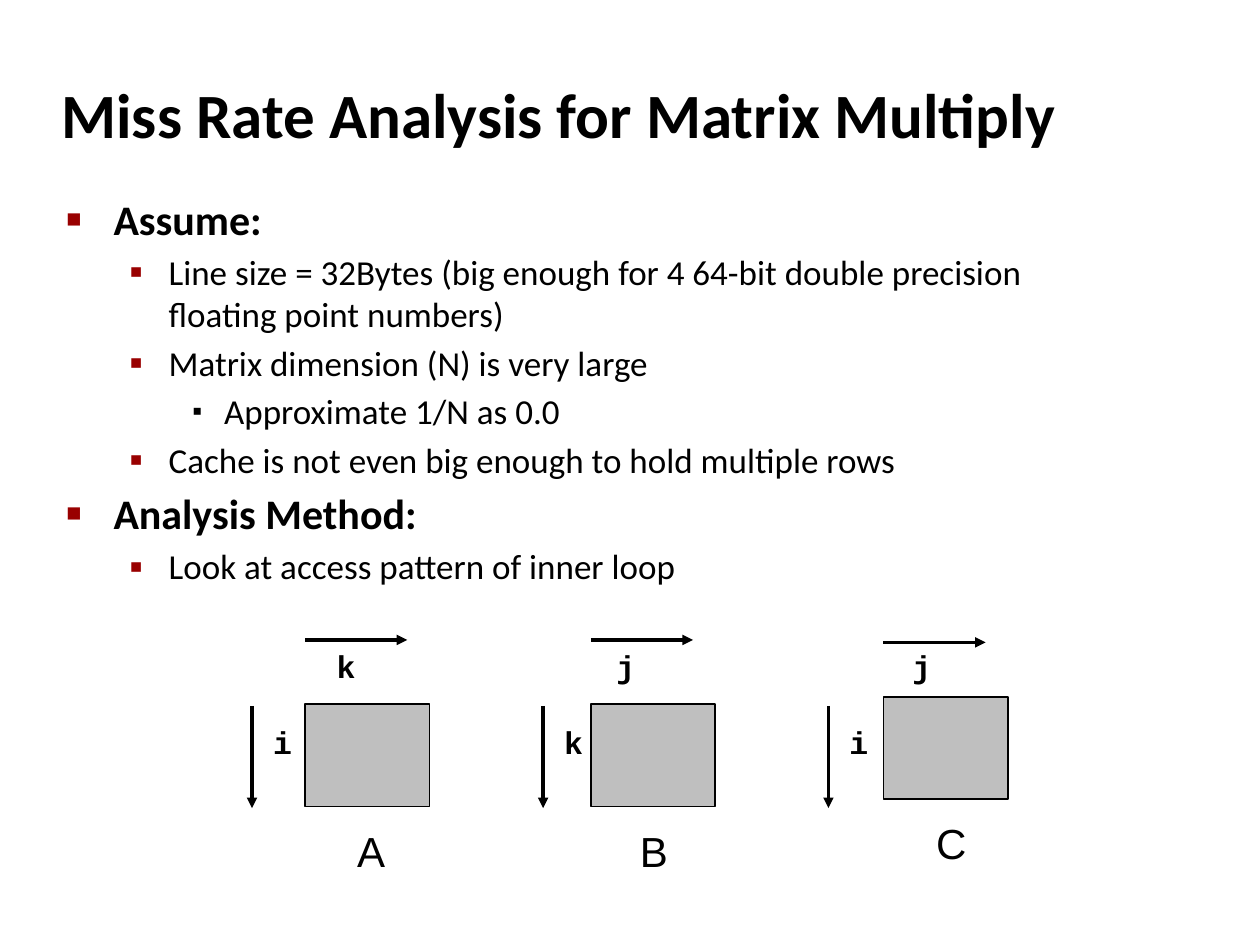
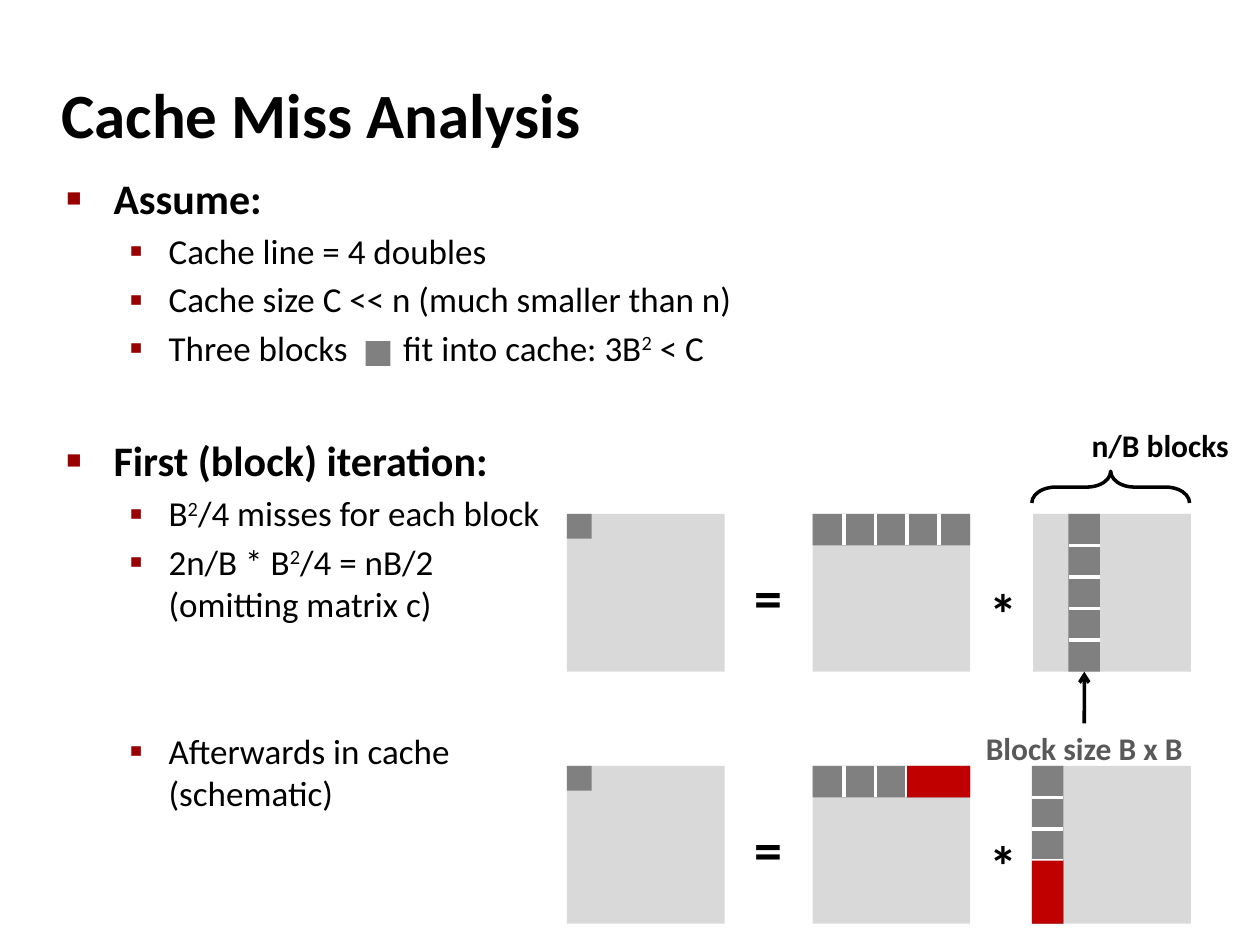
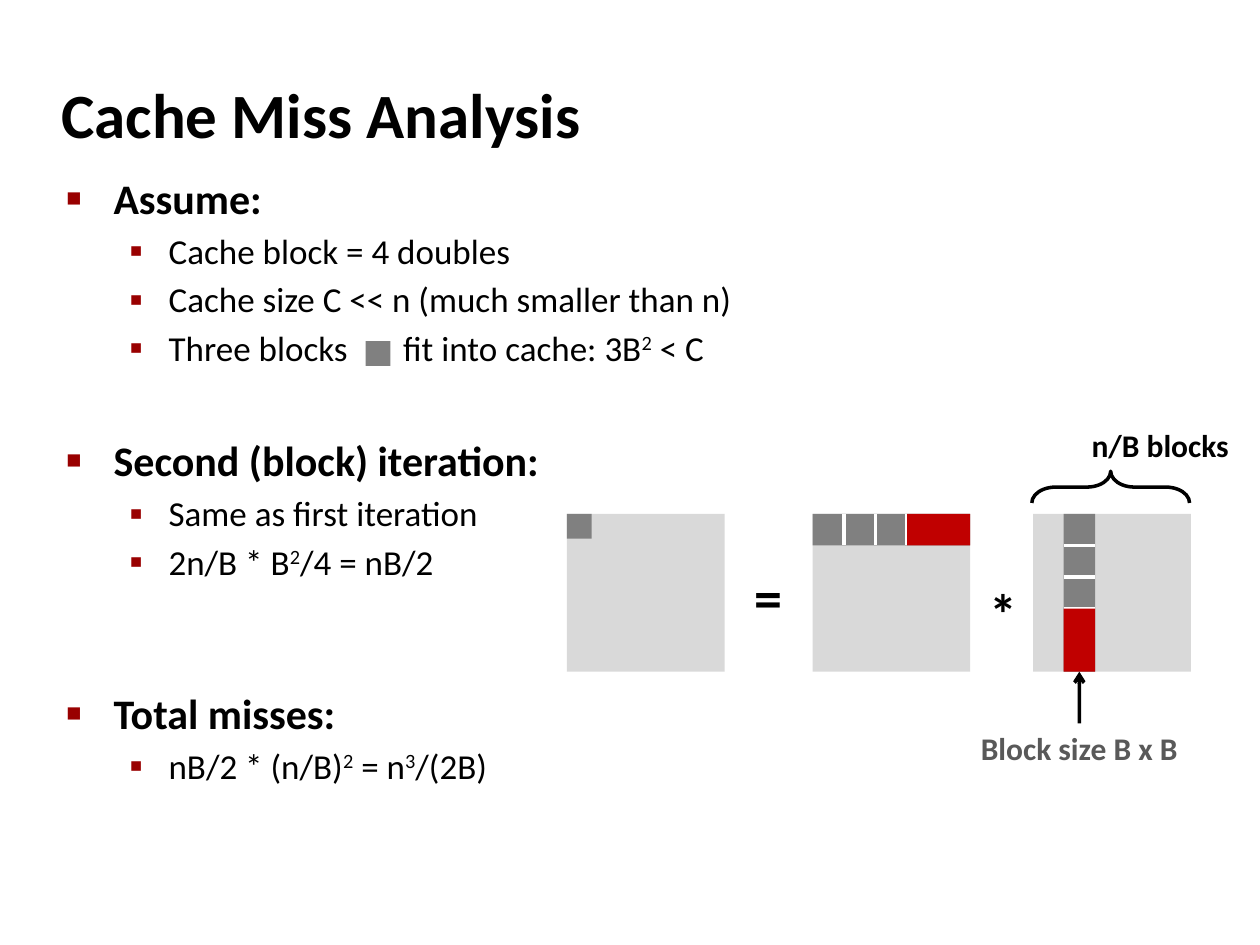
from dataclasses import dataclass

from lxml.etree import SubElement
from pptx import Presentation
from pptx.dml.color import RGBColor
from pptx.enum.shapes import MSO_CONNECTOR as CONN, MSO_SHAPE as SHAPE
from pptx.enum.text import MSO_ANCHOR as ANCHOR, PP_ALIGN as ALIGN
from pptx.oxml.ns import qn
from pptx.util import Cm, Pt


# Theme: colours, fonts, type sizes and bullet levels
@dataclass(frozen=True)
class Theme:
    ink: str = "000000"
    paper: str = "FFFFFF"
    accent: str = "990000"
    cached: str = "C00000"
    block: str = "808080"
    matrix: str = "D9D9D9"
    box: str = "BFBFBF"
    muted: str = "595959"
    body: str = "Calibri"
    plain: str = "Arial"
    code: str = "Courier New"
    title_size: int = 36
    sign_size: int = 32
    head_size: int = 24
    text_size: int = 20
    label_size: int = 18


T = Theme()
LEVELS = [
    dict(left=0.95, hang=0.95, size=T.head_size, bold=True, before=4.4,
         mark="■", scale=60, color=T.accent),
    dict(left=2.06, hang=0.79, size=T.text_size, bold=False, before=3.7,
         mark="▪", scale=110, color=T.accent),
    dict(left=3.18, hang=0.64, size=T.text_size, bold=False, before=3.7,
         mark="▪", scale=80, color=T.ink),
]

# Matrix product diagram, in cm
SIDE = 3.18
CELL = SIDE / 5
SQUARE = 0.5
ROW_1, ROW_2 = 10.36, 15.44
C_X, A_X, B_X = 11.43, 16.38, 20.83


def rgb(value):
    return RGBColor.from_string(value)


def apply(target, **values):
    for name, value in values.items():
        setattr(target, name, value)


class Deck:
    """Holds the presentation and the slide being drawn."""

    def __init__(self):
        self.prs = Presentation()
        apply(self.prs, slide_width=Cm(25.4), slide_height=Cm(19.05))
        self.s = None

    def slide(self, title):
        self.s = self.prs.slides.add_slide(self.prs.slide_layouts[6])
        tf = self.frame(0.99, 1.22, 21.08, 2.11)
        tf.vertical_anchor = ANCHOR.MIDDLE
        self.run(tf.paragraphs[0], title, size=T.title_size)

    def frame(self, x, y, w, h, wrap=True):
        tf = self.s.shapes.add_textbox(Cm(x), Cm(y), Cm(w), Cm(h)).text_frame
        tf.word_wrap = wrap
        return tf

    def run(self, p, text, size, bold=True, font=T.body, color=T.ink):
        r = p.add_run()
        r.text = text
        apply(r.font, name=font, size=Pt(size), bold=bold)
        r.font.color.rgb = rgb(color)
        return r

    def label(self, text, x, y, w, h, size=T.label_size, **style):
        tf = self.frame(x, y, w, h, wrap=False)
        p = tf.paragraphs[0]
        p.alignment = ALIGN.CENTER
        self.run(p, text, size, **style)
        return self.s.shapes[-1]

    def bullets(self, y, h, items):
        """Each item is (level, text) or (level, text, space before)."""
        tf = self.frame(1.09, y, 21.95, h)
        for i, (level, text, *before) in enumerate(items):
            p = tf.paragraphs[0] if i == 0 else tf.add_paragraph()
            fmt = LEVELS[level]
            self.bullet(p, fmt)
            if i:
                p.space_before = Pt(before[0] if before else fmt["before"])
            for n, line in enumerate(text.split("\n")):
                if n:
                    p.add_line_break()
                self.rich(p, line, fmt)

    def bullet(self, p, fmt):
        pPr = p._p.get_or_add_pPr()
        pPr.set("marL", str(Cm(fmt["left"])))
        pPr.set("indent", str(-Cm(fmt["hang"])))
        clr = SubElement(pPr, qn("a:buClr"))
        SubElement(clr, qn("a:srgbClr"), val=fmt["color"])
        SubElement(pPr, qn("a:buSzPct"), val=str(fmt["scale"] * 1000))
        SubElement(pPr, qn("a:buFont"), typeface=T.plain)
        SubElement(pPr, qn("a:buChar"), char=fmt["mark"])

    def rich(self, p, line, fmt):
        """^ raises the next character; ~ is one wide space for a symbol."""
        style = dict(size=fmt["size"], bold=fmt["bold"])
        plain, *raised = line.split("^")
        for n, part in enumerate(plain.split("~")):
            if n:
                gap = self.run(p, " ", **style)
                gap._r.get_or_add_rPr().set("spc", "2710")
            if part:
                self.run(p, part, **style)
        for part in raised:
            r = self.run(p, part[0], **style)
            r._r.get_or_add_rPr().set("baseline", "30000")
            if part[1:]:
                self.run(p, part[1:], **style)

    def shape(self, kind, x, y, w, h, fill=None, line=None):
        sp = self.s.shapes.add_shape(kind, Cm(x), Cm(y), Cm(w), Cm(h))
        sp.shadow.inherit = False
        if fill:
            sp.fill.solid()
            sp.fill.fore_color.rgb = rgb(fill)
        else:
            sp.fill.background()
        if line:
            sp.line.color.rgb = rgb(T.ink)
            sp.line.width = Pt(line)
        else:
            sp.line.fill.background()
        return sp

    def rect(self, x, y, w, h, fill, line=None):
        return self.shape(SHAPE.RECTANGLE, x, y, w, h, fill, line)

    def line(self, x1, y1, x2, y2, color=T.ink, head=None):
        cxn = self.s.shapes.add_connector(
            CONN.STRAIGHT, Cm(x1), Cm(y1), Cm(x2), Cm(y2))
        cxn.line.color.rgb = rgb(color)
        cxn.line.width = Pt(2)
        spPr = cxn._element.spPr
        if head:
            SubElement(spPr.find(qn("a:ln")), qn("a:tailEnd"), type=head)
        SubElement(spPr, qn("a:effectLst"))
        return cxn

    # Parts of the matrix product diagram
    def strip(self, x, y, across, cached):
        """Five blocks in a row or column, the last ones in cache."""
        w, h = (SIDE, CELL) if across else (CELL, SIDE)
        strip = self.rect(x, y, w, h, T.block)
        for n in range(1, 5):
            d = n * CELL
            if across:
                self.line(x + d, y, x + d, y + CELL, T.paper)
            else:
                self.line(x, y + d, x + CELL, y + d, T.paper)
        if cached:
            d, size = (5 - cached) * CELL, cached * CELL
            if across:
                self.rect(x + d, y, size, CELL, T.cached)
            else:
                self.rect(x, y + d, CELL, size, T.cached)
        return strip

    def product(self, y, column_x, cached=0):
        for x in (C_X, A_X, B_X):
            self.rect(x, y, SIDE, SIDE, T.matrix)
        for sign, x, dy in (("=", 14.94, 0.86), ("*", 19.69, 1.17)):
            self.label(sign, x, y + dy, 1.09, 1.63, size=T.sign_size)
        self.rect(C_X, y, SQUARE, SQUARE, T.block)
        self.strip(A_X, y, True, cached)
        return self.strip(column_x, y, False, cached)

    def block_notes(self, column, column_x):
        """Brace over the last matrix, and arrow to its block column."""
        brace = self.shape(SHAPE.LEFT_BRACE, 22.07, 8.23, 0.64, SIDE, line=2)
        brace.rotation = 90
        brace.adjustments[0] = 0.75
        self.label("n/B blocks", 21.74, 8.46, 3.3, 1.02)
        x, y = column_x + CELL / 2, 14.58
        note = self.label("Block size B x B", x - 2.26, y, 4.52, 1.02,
                          color=T.muted)
        arrow = self.line(x, y, x, ROW_1 + SIDE, head="arrow")
        arrow.begin_connect(note, 0)
        arrow.end_connect(column, 2)

    # Parts of the access pattern diagram
    def indexed_matrix(self, name, row, col, x, y, row_x, col_y, col_x, name_x):
        self.rect(x, y, 2.51, 2.06, T.box, line=1)
        self.label(name, name_x, y + 2.31, 1.1, 1.27, size=T.head_size,
                   bold=False, font=T.plain)
        self.line(x, col_y, x + 2.06, col_y, head="triangle")
        self.line(row_x, 14.23, row_x, 16.29, head="triangle")
        for text, lx, ly in ((col, col_x, 12.92), (row, row_x + 0.17, 14.45)):
            self.label(text, lx, ly, 0.89, 1.02, font=T.code)


def assumptions(unit):
    return [
        (0, "Assume:"),
        (1, f"Cache {unit} = 4 doubles"),
        (1, "Cache size C << n (much smaller than n)"),
        (1, "Three blocks~fit into cache: 3B^2 < C"),
    ]


def miss_slide(deck, unit, items):
    deck.slide("Cache Miss Analysis")
    deck.bullets(3.35, 14.83, assumptions(unit) + items)
    deck.rect(7.37, 6.88, SQUARE, SQUARE, T.block)


def main():
    deck = Deck()

    # Slide 1: assumptions and access pattern
    deck.slide("Miss Rate Analysis for Matrix Multiply")
    deck.bullets(3.78, 13.82, [
        (0, "Assume:"),
        (1, "Line size = 32Bytes (big enough for 4 64-bit double precision "
            "floating point numbers)"),
        (1, "Matrix dimension (N) is very large"),
        (2, "Approximate 1/N as 0.0"),
        (1, "Cache is not even big enough to hold multiple rows"),
        (0, "Analysis Method:"),
        (1, "Look at access pattern of inner loop"),
    ])
    for matrix in (
        ("A", "i", "k", 6.15, 14.2, 5.08, 12.9, 6.53, 6.93),
        ("B", "k", "j", 11.91, 14.2, 10.95, 12.9, 12.17, 12.63),
        ("C", "i", "j", 17.81, 14.05, 16.7, 12.95, 18.14, 18.62),
    ):
        deck.indexed_matrix(*matrix)

    # Slide 2: first block iteration
    miss_slide(deck, "line", [
        (0, "First (block) iteration:", 38),
        (1, "B^2/4 misses for each block"),
        (1, "2n/B * B^2/4 = nB/2\n(omitting matrix c)"),
        (1, "Afterwards in cache\n(schematic)", 60),
    ])
    deck.product(ROW_2, 20.8, cached=2)
    column_x = 21.54
    deck.block_notes(deck.product(ROW_1, column_x), column_x)

    # Slide 3: second block iteration and total
    miss_slide(deck, "block", [
        (0, "Second (block) iteration:", 38),
        (1, "Same as first iteration"),
        (1, "2n/B * B^2/4 = nB/2"),
        (0, "Total misses:", 60),
        (1, "nB/2 * (n/B)^2 = n^3/(2B)"),
    ])
    column_x = 21.44
    deck.block_notes(deck.product(ROW_1, column_x, cached=2), column_x)

    deck.prs.save("out.pptx")


if __name__ == "__main__":
    main()
